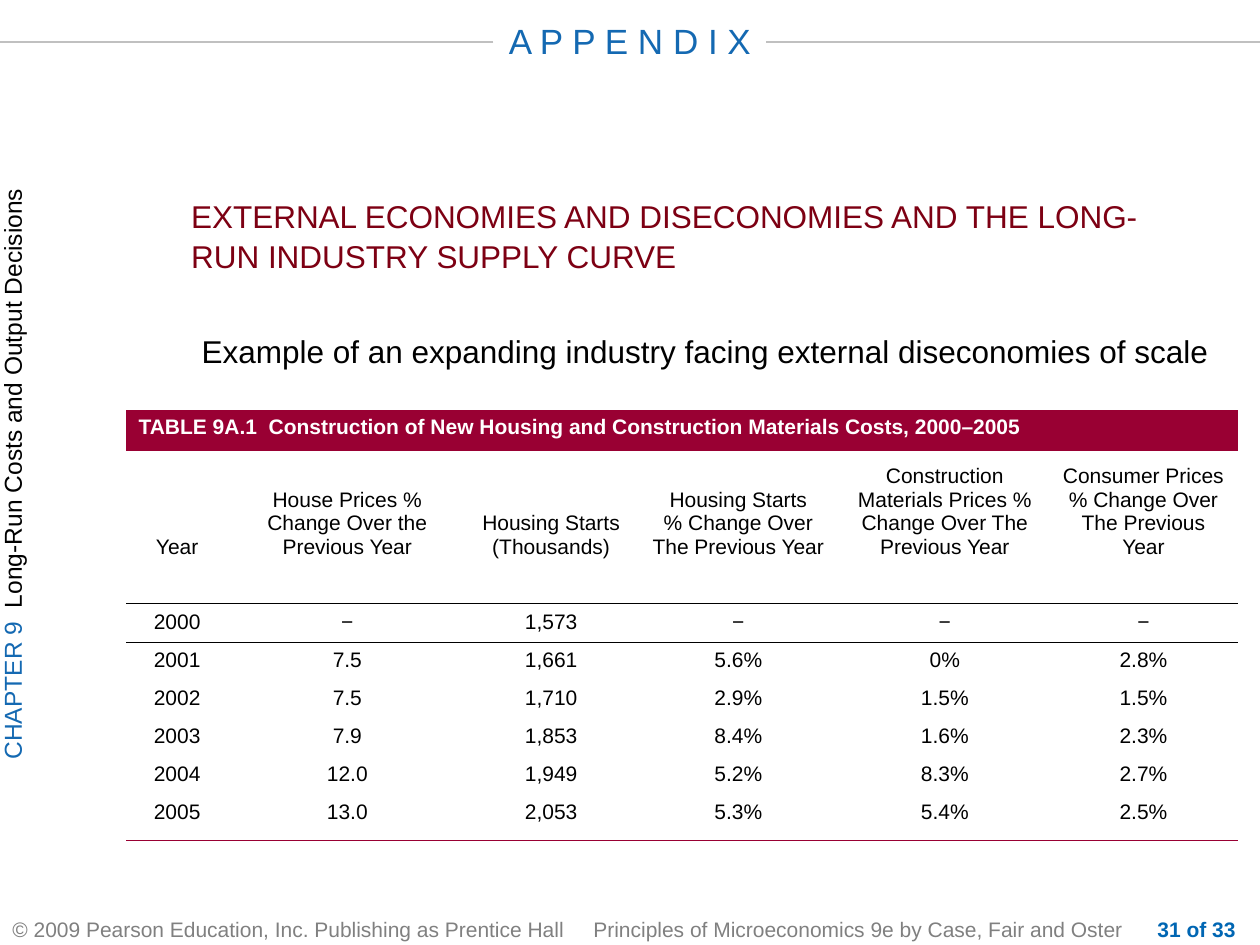
from lxml import etree
from pptx import Presentation
from pptx import util as u
from pptx.dml import color
from pptx.enum import shapes, text
from pptx.oxml import ns

COLORS = {
    "blue": "1469B2", "page": "0066B3", "gray": "808080", "rule": "C0C0C0",
    "crimson": "990033", "maroon": "7D0013", "black": "000000", "white": "FFFFFF",
}
LEFT, CENTER, RIGHT = text.PP_ALIGN.LEFT, text.PP_ALIGN.CENTER, text.PP_ALIGN.RIGHT
TOP, MIDDLE, BOTTOM = text.MSO_ANCHOR.TOP, text.MSO_ANCHOR.MIDDLE, text.MSO_ANCHOR.BOTTOM


def rgb(name):
    return color.RGBColor.from_string(COLORS[name])


class SlideBuilder:
    font = "Arial"
    insets = (7.2, 3.6, 7.2, 3.6)

    def __init__(self, slide):
        self.slide = slide

    def add_runs(self, paragraph, runs, size, align=LEFT, bold=False):
        paragraph.alignment = align
        for words, shade in runs:
            for index, line in enumerate(words.split("\n")):
                if index:
                    paragraph.add_line_break()
                run = paragraph.add_run()
                run.text = line
                run.font.name = self.font
                run.font.size = u.Pt(size)
                run.font.bold = bold
                run.font.color.rgb = rgb(shade)

    def place(self, shape, box, runs, size, align=LEFT, anchor=TOP, bold=False, insets=insets):
        shape.left, shape.top, shape.width, shape.height = map(u.Pt, box)
        frame = shape.text_frame
        frame.word_wrap = True
        frame.auto_size = text.MSO_AUTO_SIZE.NONE
        frame.vertical_anchor = anchor
        (frame.margin_left, frame.margin_top,
         frame.margin_right, frame.margin_bottom) = map(u.Pt, insets)
        paragraph = frame.paragraphs[0]
        paragraph.space_before = u.Pt(0)
        self.add_runs(paragraph, runs, size, align, bold)
        return frame

    def label(self, box, *args, **kwargs):
        return self.place(self.slide.shapes.add_textbox(0, 0, 0, 0), box, *args, **kwargs)

    def title(self, *args, **kwargs):
        frame = self.place(self.slide.shapes.title, *args, **kwargs)
        frame.paragraphs[0].line_spacing = 1.05

    def body(self, *args, **kwargs):
        frame = self.place(self.slide.placeholders[1], *args, **kwargs)
        props = frame.paragraphs[0]._p.get_or_add_pPr()
        props.set("marL", "0")
        props.set("indent", "0")
        etree.SubElement(props, ns.qn("a:buNone"))

    def tab_stop(self, frame, position):
        props = frame.paragraphs[0]._p.get_or_add_pPr()
        stops = etree.SubElement(props, ns.qn("a:tabLst"))
        etree.SubElement(stops, ns.qn("a:tab"), pos=str(u.Pt(position)), algn="l")

    def rule(self, start, end, y):
        line = self.slide.shapes.add_connector(
            shapes.MSO_CONNECTOR.STRAIGHT, u.Pt(start), u.Pt(y), u.Pt(end), u.Pt(y))
        line.line.color.rgb = rgb("rule")
        line.line.width = u.Pt(0.75)
        etree.SubElement(line._element.spPr, ns.qn("a:effectLst"))

    def border(self, cell, side, shade):
        edge = etree.Element(ns.qn(f"a:{side}"), w=str(u.Pt(0.45)))
        fill = etree.SubElement(edge, ns.qn("a:solidFill"))
        etree.SubElement(fill, ns.qn("a:srgbClr"), val=COLORS[shade])
        cell._tc.get_or_add_tcPr().insert(0, edge)

    def cell(self, cell, words, shade="black", align=CENTER, anchor=TOP, bold=False):
        cell.vertical_anchor = anchor
        (cell.margin_left, cell.margin_top,
         cell.margin_right, cell.margin_bottom) = map(u.Pt, self.insets)
        self.add_runs(cell.text_frame.paragraphs[0], [(words, shade)], 12, align, bold)

    def table(self, left, top, widths, heights, caption, headings, records):
        table = self.slide.shapes.add_table(
            len(heights), len(widths), u.Pt(left), u.Pt(top),
            u.Pt(sum(widths)), u.Pt(sum(heights))).table
        table.first_row = table.horz_banding = False
        style = table._tbl.tblPr.find(ns.qn("a:tableStyleId"))
        style.text = "{2D5ABB26-0587-4C30-8999-92F81FD0307C}"
        for column, width in zip(table.columns, widths):
            column.width = u.Pt(width)
        for row, height in zip(table.rows, heights):
            row.height = u.Pt(height)
        for cell in table.iter_cells():
            cell.fill.background()

        banner = table.cell(0, 0)
        banner.merge(table.cell(0, len(widths) - 1))
        banner.fill.solid()
        banner.fill.fore_color.rgb = rgb("crimson")
        self.cell(banner, caption, "white", LEFT, bold=True)

        last = len(heights) - 1
        for col, heading in enumerate(headings):
            self.cell(table.cell(1, col), heading, anchor=BOTTOM)
            spacer = table.cell(2, col)
            spacer.margin_top = spacer.margin_bottom = 0
            for row, record in enumerate(records, start=3):
                self.cell(table.cell(row, col), record[col])
            self.border(spacer, "lnB", "black")
            self.border(table.cell(3, col), "lnT", "black")
            self.border(table.cell(last, col), "lnB", "crimson")


def main():
    deck = Presentation()
    deck.slide_width, deck.slide_height = u.Pt(720), u.Pt(540)
    page = SlideBuilder(deck.slides.add_slide(deck.slide_layouts[1]))

    chapter = page.label(
        (-1.5, 31.5, 31, 479),
        [("CHAPTER 9  ", "blue"), ("Long-Run Costs and Output Decisions", "black")],
        14, CENTER, insets=(0, 0, 0, 0))
    chapter._txBody.bodyPr.set("vert", "vert270")

    footer = page.label(
        (0, 522, 684, 18),
        [("© 2009 Pearson Education, Inc. Publishing as Prentice Hall\t"
          "Principles of Microeconomics 9e by Case, Fair and Oster", "gray")],
        12, anchor=MIDDLE)
    page.tab_stop(footer, 332)
    page.label((648, 522, 72.5, 18), [("31 of 33", "page")], 12, RIGHT, MIDDLE, True,
               insets=(0, 3.6, 14.4, 3.6))

    page.table(
        72, 234, [58.5, 136, 97, 117, 119, 108], [23.5, 65.5, 20.5] + [21.8] * 5 + [26],
        "TABLE 9A.1  Construction of New Housing and Construction Materials Costs, 2000–2005",
        ["Year", "House Prices % Change Over the Previous Year", "Housing Starts\n(Thousands)",
         "Housing Starts\n% Change Over The Previous Year",
         "Construction Materials Prices % Change Over The Previous Year",
         "Consumer Prices\n% Change Over The Previous Year"],
        [("2000", "−", "1,573", "−", "−", "−"),
         ("2001", "7.5", "1,661", "5.6%", "0%", "2.8%"),
         ("2002", "7.5", "1,710", "2.9%", "1.5%", "1.5%"),
         ("2003", "7.9", "1,853", "8.4%", "1.6%", "2.3%"),
         ("2004", "12.0", "1,949", "5.2%", "8.3%", "2.7%"),
         ("2005", "13.0", "2,053", "5.3%", "5.4%", "2.5%")])

    page.label((252, 3.6, 216, 39), [("A P P E N D I X", "blue")], 20, CENTER, BOTTOM,
               insets=(7.2, 3.6, 7.2, 7.2))
    for start, end in ((282, 0), (720, 438)):
        page.rule(start, end, 24)

    page.body((108, 186, 594, 30),
              [("Example of an expanding industry facing external diseconomies of scale",
                "black")], 18)
    page.title((102, 108, 582, 66),
               [("EXTERNAL ECONOMIES AND DISECONOMIES AND THE LONG-RUN INDUSTRY SUPPLY CURVE",
                 "maroon")], 18)
    deck.save("out.pptx")


if __name__ == "__main__":
    main()
